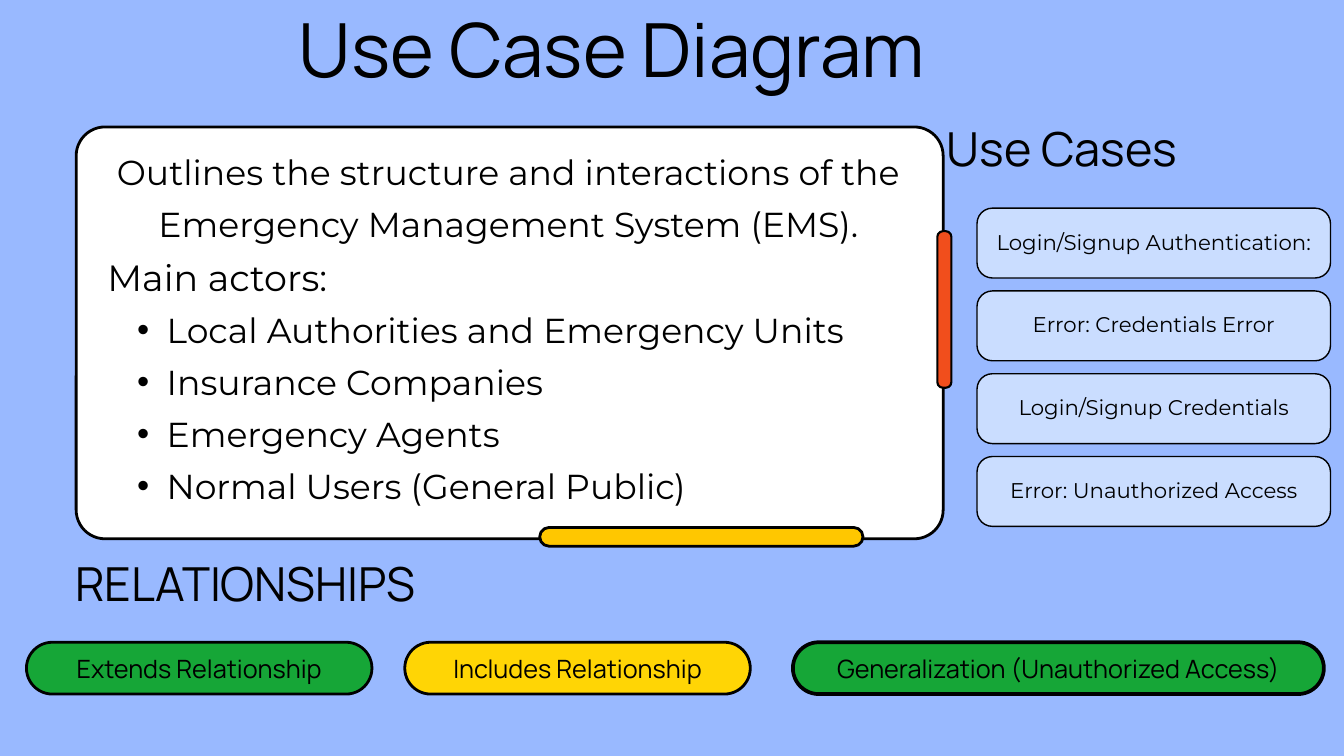
from lxml import etree
from pptx import Presentation
from pptx.dml.color import RGBColor
from pptx.enum.shapes import MSO_SHAPE
from pptx.enum.text import MSO_ANCHOR, PP_ALIGN
from pptx.oxml.ns import qn
from pptx.util import Cm, Pt

ROUND = MSO_SHAPE.ROUNDED_RECTANGLE
MIDDLE, TOP = MSO_ANCHOR.MIDDLE, MSO_ANCHOR.TOP
LEFT, CENTER, JUSTIFY = PP_ALIGN.LEFT, PP_ALIGN.CENTER, PP_ALIGN.JUSTIFY
HEAD, BODY = "Manrope", "Montserrat"


def color(text):
    return RGBColor.from_string(text)


def write(par, text, size, lead, font=BODY, align=LEFT, bullet=False):
    run = par.add_run()
    run.text = text
    run.font.name = font
    run.font.size = Pt(size)
    run.font.color.rgb = color(Style.ink)
    par.alignment = align
    par.line_spacing = Pt(lead)
    if bullet:
        par.level = 1
        props = par._p.get_or_add_pPr()
        props.set("marL", str(Cm(2.24)))
        props.set("indent", str(-Cm(1.12)))
        etree.SubElement(props, qn("a:buFont"), typeface="Arial")
        etree.SubElement(props, qn("a:buChar"), char="•")


class Style:
    ink = "000000"
    back = "99B9FF"

    def __init__(self, slide):
        self.slide = slide
        slide.background.fill.solid()
        slide.background.fill.fore_color.rgb = color(self.back)

    def frame(self, shape, anchor):
        """Clear the margins of a shape and return its text frame."""
        frame = shape.text_frame
        frame.word_wrap = True
        frame.vertical_anchor = anchor
        frame.margin_left = frame.margin_right = 0
        frame.margin_top = frame.margin_bottom = 0
        return frame

    def text(self, box, lines):
        """Add a text box; each line is a text and its format."""
        shape = self.slide.shapes.add_textbox(*map(Cm, box))
        frame = self.frame(shape, TOP)
        for i, (line, form) in enumerate(lines):
            par = frame.add_paragraph() if i else frame.paragraphs[0]
            write(par, line, **form)

    def panel(self, box, fill, curve=0.5, line=3, text=None, **form):
        shape = self.slide.shapes.add_shape(ROUND, *map(Cm, box))
        shape.adjustments[0] = curve
        shape.shadow.inherit = False
        shape.fill.solid()
        shape.fill.fore_color.rgb = color(fill)
        shape.line.color.rgb = color(self.ink)
        shape.line.width = Pt(line)
        if text:
            par = self.frame(shape, MIDDLE).paragraphs[0]
            write(par, text, align=CENTER, **form)


def main():
    deck = Presentation()
    deck.slide_width, deck.slide_height = Cm(50.8), Cm(28.58)
    page = Style(deck.slides.add_slide(deck.slide_layouts[6]))

    title = dict(size=80, lead=80.8, font=HEAD)
    head = dict(size=50.2, lead=50.7, font=HEAD)
    plain = dict(size=37.1, lead=55.6)
    item = dict(plain, bullet=True)

    page.text((11.3, 0.66, 28.2, 3.18), [("Use Case Diagram", title)])

    page.panel((2.88, 4.8, 32.77, 15.57), "FFFFFF", curve=0.07)
    page.text((4.06, 5.31, 30.3, 13.72), [
        ("Outlines the structure and interactions of the "
         "Emergency Management System (EMS).", dict(plain, align=CENTER)),
        ("Main actors:", dict(size=39.1, lead=58.6)),
        ("Local Authorities and Emergency Units", item),
        ("Insurance Companies", item),
        ("Emergency Agents", item),
        ("Normal Users (General Public)", item),
    ])
    page.panel((20.4, 19.94, 12.22, 0.71), "FFC700")
    page.panel((35.43, 8.74, 0.53, 5.92), "F14E1C", curve=0.4, line=2.25)

    page.text((35.79, 4.85, 15, 2.01), [("Use Cases", head)])
    cases = ["Login/Signup Authentication:", "Error: Credentials Error",
             "Login/Signup Credentials", "Error: Unauthorized Access"]
    for i, case in enumerate(cases):
        page.panel((36.93, 7.87 + 3.13 * i, 13.36, 2.64), "CADDFF",
                   curve=0.22, line=1.5, text=case, size=22.8, lead=24.1)

    page.text((2.84, 21.31, 18.9, 2.01),
              [("RELATIONSHIPS", dict(head, align=JUSTIFY))])
    links = [
        ("Extends Relationship", 1, 13.06, "16A637", 3),
        ("Includes Relationship", 15.3, 13.06, "FFD505", 3),
        ("Generalization (Unauthorized Access)", 29.97, 20.07, "16A637", 4),
    ]
    for link, left, width, fill, line in links:
        page.panel((left, 24.28, width, 1.96), fill, line=line,
                   text=link, size=27, lead=32.4, font=HEAD)

    deck.save("out.pptx")


if __name__ == "__main__":
    main()
